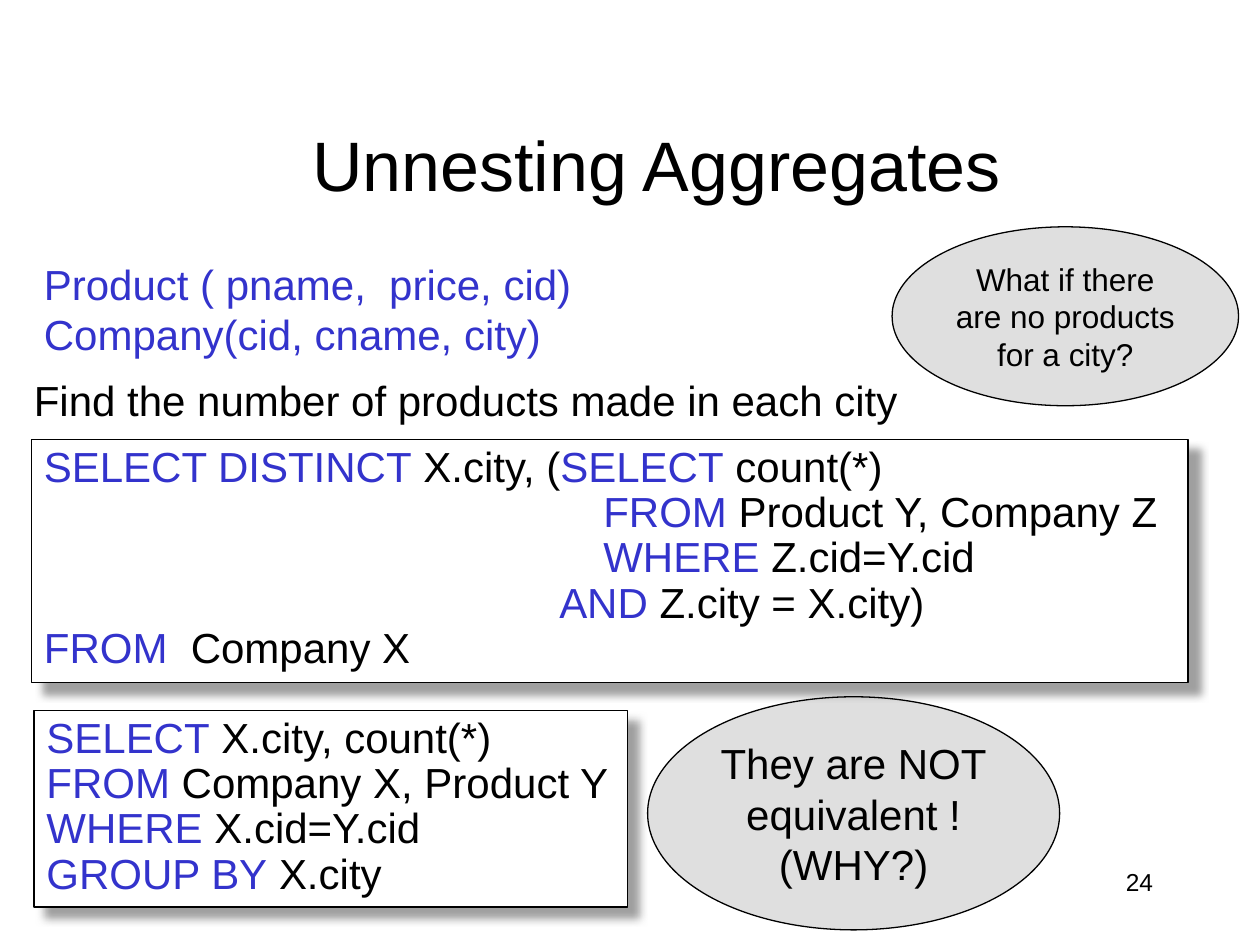
from itertools import zip_longest

from lxml.etree import SubElement
from pptx import Presentation
from pptx.dml.color import RGBColor
from pptx.enum.shapes import MSO_SHAPE
from pptx.enum.text import MSO_ANCHOR, PP_ALIGN
from pptx.oxml.ns import qn
from pptx.util import Inches, Pt

BLACK = RGBColor(0x00, 0x00, 0x00)
WHITE = RGBColor(0xFF, 0xFF, 0xFF)
BLUE = RGBColor(0x33, 0x33, 0xCC)
SILVER = RGBColor(0xC0, 0xC0, 0xC0)

# The slide is a grid of 100 columns by 75 rows
CELL = Inches(0.1)

deck = Presentation()
deck.slide_width, deck.slide_height = 100 * CELL, 75 * CELL
page = deck.slides.add_slide(deck.slide_layouts[5])


def write(box, text, size=24, color=BLACK, align=PP_ALIGN.LEFT,
          anchor=MSO_ANCHOR.TOP, wrap=False, spacing=1.0, indents=()):
    """Write one paragraph per line; words between bars are blue keywords."""
    frame = box.text_frame
    frame.word_wrap, frame.vertical_anchor = wrap, anchor
    lines = text.split("\n")
    for number, (line, indent) in enumerate(zip_longest(lines, indents, fillvalue=0)):
        para = frame.paragraphs[0] if number == 0 else frame.add_paragraph()
        para.alignment, para.line_spacing = align, spacing
        if indent:
            para._p.get_or_add_pPr().set("marL", str(int(indent * CELL)))
        for position, words in enumerate(line.split("|")):
            if words:
                span = para.add_run()
                span.text = words
                span.font.name, span.font.size = "Arial", Pt(size)
                span.font.color.rgb = BLUE if position % 2 else color


def add_box(left, top, width, height, kind=None, fill=WHITE):
    """Add a text box, or an outlined shape of the given kind, on the grid."""
    area = [int(length * CELL) for length in (left, top, width, height)]
    if kind is None:
        return page.shapes.add_textbox(*area)
    box = page.shapes.add_shape(kind, *area)
    box.shadow.inherit = False
    box.fill.solid()
    box.fill.fore_color.rgb = fill
    box.line.color.rgb, box.line.width = BLACK, Pt(0.75)
    return box


# Title
title = page.shapes.title
title.left, title.top, title.width, title.height = (
    int(length * CELL) for length in (7.5, 6.7, 89.2, 12.5))
write(title, "Unnesting Aggregates", size=40, align=PP_ALIGN.CENTER,
      anchor=MSO_ANCHOR.MIDDLE, wrap=True)

# Question and schema
write(add_box(1.7, 29.2, 71.2, 5), "Find the number of products made in each city")
write(add_box(2.5, 20, 44.3, 9.1),
      "Product ( pname,  price, cid)\nCompany(cid, cname, city)", color=BLUE)

# Query panels with a soft shadow
nested_query = """|SELECT DISTINCT| X.city, (|SELECT| count(*)
|FROM| Product Y, Company Z
|WHERE| Z.cid=Y.cid
|AND| Z.city = X.city)
|FROM|  Company X"""
grouped_query = """|SELECT| X.city, count(*)
|FROM| Company X, Product Y
|WHERE| X.cid=Y.cid
|GROUP BY| X.city"""
panels = [
    ((2.5, 34.9, 91.8, 19.3), nested_query, (0, 44.4, 44.4, 40.9, 0)),
    ((2.7, 56.4, 47.1, 15.6), grouped_query, ()),
]
for area, query, indents in panels:
    panel = add_box(*area, kind=MSO_SHAPE.RECTANGLE)
    write(panel, query, spacing=0.9, indents=indents)
    effects = panel._element.spPr.find(qn("a:effectLst"))
    shadow = SubElement(effects, qn("a:outerShdw"), blurRad=str(Pt(5)),
                        dist=str(Pt(8.5)), dir=str(45 * 60000), algn="tl")
    shade = SubElement(shadow, qn("a:srgbClr"), val="808080")
    SubElement(shade, qn("a:alpha"), val="75000")

# Half-transparent remarks
remarks = [
    ((51.4, 55.3, 32.7, 18.5), "They are NOT\nequivalent !\n(WHY?)", 24),
    ((70.8, 18, 27.5, 14.2), "What if there\nare no products\nfor a city?", 18),
]
for area, text, size in remarks:
    remark = add_box(*area, kind=MSO_SHAPE.OVAL, fill=SILVER)
    tint = remark._element.spPr.find(qn("a:solidFill"))[0]
    SubElement(tint, qn("a:alpha"), val="50000")
    write(remark, text, size=size, align=PP_ALIGN.CENTER, anchor=MSO_ANCHOR.MIDDLE)

# Page number
write(add_box(71.7, 68.3, 20.8, 5), "24", size=14, align=PP_ALIGN.RIGHT, wrap=True)

deck.save("out.pptx")
